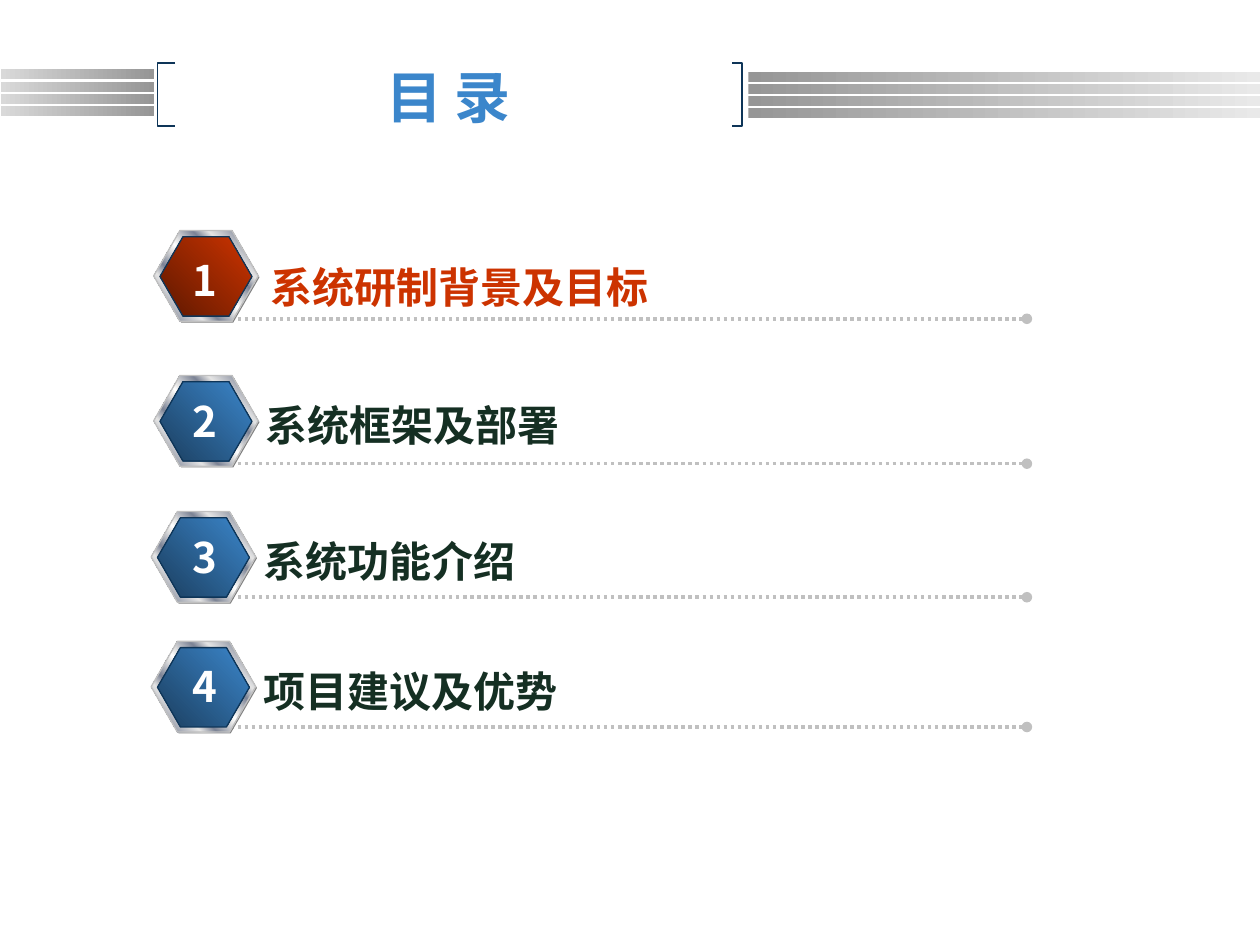
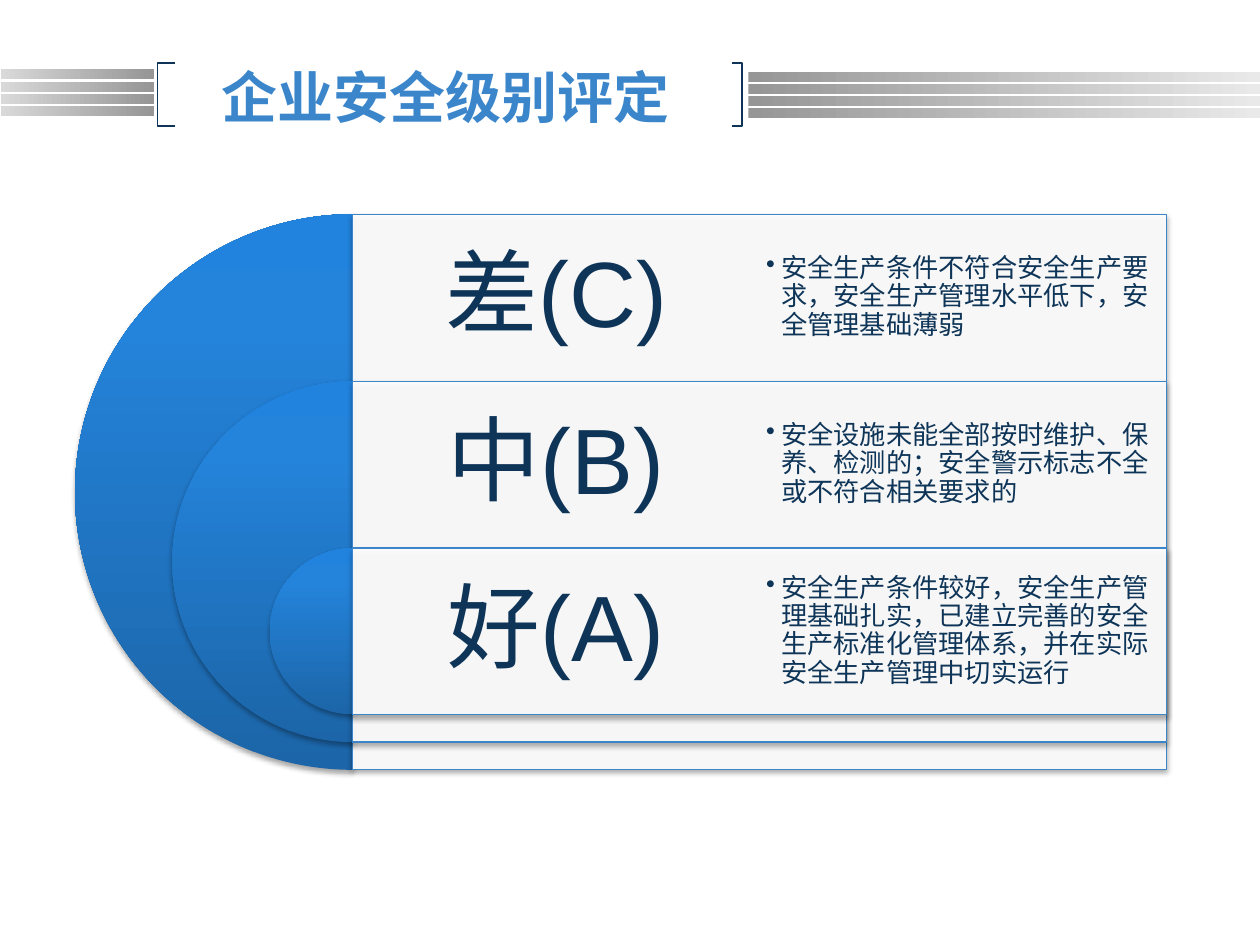
from lxml.etree import SubElement
from pptx import Presentation
from pptx.dml.color import RGBColor
from pptx.enum.dml import MSO_LINE
from pptx.enum.shapes import MSO_CONNECTOR, MSO_SHAPE
from pptx.enum.text import MSO_ANCHOR, MSO_AUTO_SIZE, PP_ALIGN
from pptx.oxml.ns import qn
from pptx.util import Inches, Pt

BLUE = RGBColor(0x3B, 0x86, 0xCB)
NAVY = RGBColor(0x0E, 0x35, 0x58)
DEEP_BLUE = RGBColor(0x1B, 0x3E, 0x5E)
RED = RGBColor(0xCC, 0x33, 0x00)
DARK_RED = RGBColor(0x5E, 0x18, 0x00)
GREEN = RGBColor(0x15, 0x2F, 0x23)
WHITE = RGBColor(0xFF, 0xFF, 0xFF)
SILVER = RGBColor(0xC0, 0xC0, 0xC0)
GRAY = RGBColor(0x80, 0x80, 0x80)
BAR_DARK = RGBColor(0x96, 0x96, 0x96)
BAR_LIGHT = RGBColor(0xD9, 0xD9, 0xD9)
BAR_PALE = RGBColor(0xE9, 0xE9, 0xE9)
STEEL = RGBColor(0x7D, 0x84, 0x96)
SHINE = RGBColor(0xE6, 0xE6, 0xE6)

METAL = [(0, SHINE), (8, STEEL), (26, SHINE), (34, STEEL), (46, SHINE), (50, WHITE),
         (54, SHINE), (66, STEEL), (74, SHINE), (92, STEEL), (100, SHINE)]
PIE_BLUE = [(0, RGBColor(0x1C, 0x65, 0xA8)), (80, RGBColor(0x24, 0x83, 0xDA)),
            (100, RGBColor(0x21, 0x83, 0xDE))]
FONT = "Noto Sans CJK SC"


def add_filled(slide, kind, box, fill, angle=0, line=None, shadow=False):
    """Add a preset shape; fill is one colour or a list of (percent, colour) stops."""
    s = slide.shapes.add_shape(kind, *[Inches(v) for v in box])
    s.shadow.inherit = False
    if isinstance(fill, list):
        s.fill.gradient()
        grad = s._element.spPr.find(qn("a:gradFill"))
        stops = grad.find(qn("a:gsLst"))
        stops.clear()
        for percent, color in fill:
            gs = SubElement(stops, qn("a:gs"), pos=str(percent * 1000))
            SubElement(gs, qn("a:srgbClr"), val=str(color))
        grad.find(qn("a:lin")).set("ang", str(angle * 60000))
    else:
        s.fill.solid()
        s.fill.fore_color.rgb = fill
    if line is None:
        s.line.fill.background()
    else:
        s.line.color.rgb = line
        s.line.width = Pt(0.75)
    if shadow:
        effects = s._element.spPr.find(qn("a:effectLst"))
        outer = SubElement(effects, qn("a:outerShdw"), blurRad=str(Pt(3.1)),
                           dist=str(Pt(1.8)), dir="5400000", rotWithShape="0")
        black = SubElement(outer, qn("a:srgbClr"), val="000000")
        SubElement(black, qn("a:alpha"), val="35000")
    return s


def add_text(slide, box, text, size, color, font=FONT, bold=True, align=None,
             wrap=True, inset=None, bullet=False):
    tf = slide.shapes.add_textbox(*[Inches(v) for v in box]).text_frame
    tf.word_wrap = wrap
    if wrap:
        tf.vertical_anchor = MSO_ANCHOR.MIDDLE
    else:
        tf.auto_size = MSO_AUTO_SIZE.SHAPE_TO_FIT_TEXT
    tf.text = text
    p = tf.paragraphs[0]
    p.alignment = align
    if inset is not None:
        tf.margin_left = tf.margin_right = Inches(inset)
        tf.margin_top = tf.margin_bottom = Inches(inset)
        p.line_spacing = 0.9
    if bullet:
        pPr = p._p.get_or_add_pPr()
        pPr.set("marL", str(Inches(0.12)))
        pPr.set("indent", str(-Inches(0.12)))
        SubElement(pPr, qn("a:buChar"), char="•")
    r = p.runs[0]
    r.font.size = Pt(size)
    r.font.bold = bold
    r.font.name = font
    r.font.color.rgb = color
    SubElement(r._r.get_or_add_rPr(), qn("a:ea"), typeface=FONT)


prs = Presentation()
prs.slide_width = Inches(10)
prs.slide_height = Inches(7.5)

# Title band shared by both slides
slides = []
for title, left, width in [("目 录", 1.31, 4.5), ("企业安全级别评定", 1.18, 4.71)]:
    slide = prs.slides.add_slide(prs.slide_layouts[6])
    slides.append(slide)
    for bar_left, bar_top, bar_width, stops in [
            (0.01, 0.55, 1.21, [(0, BAR_LIGHT), (100, BAR_DARK)]),
            (5.94, 0.57, 4.06, [(0, BAR_DARK), (100, BAR_PALE)])]:
        for i in range(4):
            add_filled(slide, MSO_SHAPE.RECTANGLE,
                       (bar_left, bar_top + i * 0.29 / 3, bar_width, 0.08), stops)
    for tip, spine in [(1.39, 1.25), (5.81, 5.89)]:
        builder = slide.shapes.build_freeform(Inches(tip), Inches(0.5))
        builder.add_line_segments([(Inches(x), Inches(y)) for x, y in
                                   [(spine, 0.5), (spine, 1), (tip, 1)]], close=False)
        bracket = builder.convert_to_shape()
        bracket.shadow.inherit = False
        bracket.fill.background()
        bracket.line.color.rgb = NAVY
        bracket.line.width = Pt(0.75)
    add_text(slide, (left, 0.5, width, 0.53), title, 32, BLUE, align=PP_ALIGN.CENTER)

contents, levels = slides

# Contents: hexagon left and top, label left and top, number top, rule y
chapters = [
    ("系统研制背景及目标", 1.22, 1.83, 2.05, 2.03, 1.97, 2.53),
    ("系统框架及部署", 1.22, 2.98, 2.01, 3.12, 3.09, 3.68),
    ("系统功能介绍", 1.2, 4.06, 1.99, 4.2, 4.17, 4.74),
    ("项目建议及优势", 1.2, 5.09, 1.99, 5.23, 5.19, 5.77),
]
for number, (label, x, y, label_x, label_y, number_y, rule_y) in enumerate(chapters, 1):
    current = number == 1
    rule = contents.shapes.add_connector(MSO_CONNECTOR.STRAIGHT, Inches(1.83), Inches(rule_y),
                                         Inches(8.15), Inches(rule_y))
    rule.line.color.rgb = SILVER
    rule.line.width = Pt(2)
    rule.line.dash_style = MSO_LINE.ROUND_DOT
    SubElement(rule.line._get_or_add_ln(), qn("a:tailEnd"), type="oval")
    SubElement(rule._element.spPr, qn("a:effectLst"))

    core = [(0, DARK_RED), (100, RED)] if current else [(0, DEEP_BLUE), (100, BLUE)]
    for box, fill, line in [((x + 0.01, y + 0.01, 0.83, 0.72), GRAY, None),
                            ((x, y, 0.83, 0.72), METAL, SILVER),
                            ((x + 0.05, y + 0.05, 0.73, 0.63), core, NAVY)]:
        hexagon = add_filled(contents, MSO_SHAPE.HEXAGON, box, fill, 315, line)
        hexagon.adjustments[0] = 0.289
    add_text(contents, (1.43, number_y, 0.41, 0.51), str(number), 24, WHITE, wrap=False)
    label_width = len(label) / 3 + 0.22
    add_text(contents, (label_x, label_y, label_width, 0.5), label, 24,
             RED if current else GREEN, wrap=False)

# Safety levels: nested half discs, each with a panel of the same height
grades = [
    ("差(C)", "安全生产条件不符合安全生产要求，安全生产管理水平低下，安全管理基础薄弱"),
    ("中(B)", "安全设施未能全部按时维护、保养、检测的；安全警示标志不全或不符合相关要求的"),
    ("好(A)", "安全生产条件较好，安全生产管理基础扎实，已建立完善的安全生产标准化管理体系，"
              "并在实际安全生产管理中切实运行"),
]
PANEL_LEFT, ROW_HEIGHT = 2.8, 1.32
for i, (grade, meaning) in enumerate(grades):
    top = 1.7 + i * 1.325
    size = 4.41 - i * 1.545
    pie = add_filled(levels, MSO_SHAPE.PIE, (PANEL_LEFT - size / 2, top, size, size),
                     PIE_BLUE, 270, shadow=True)
    pie.adjustments[0] = 54
    pie.adjustments[1] = 162
    panel = add_filled(levels, MSO_SHAPE.RECTANGLE, (PANEL_LEFT, top, 6.46, size), WHITE,
                       line=BLUE, shadow=True)
    white = panel._element.spPr.find(qn("a:solidFill")).find(qn("a:srgbClr"))
    SubElement(white, qn("a:alpha"), val="90000")
    add_text(levels, (PANEL_LEFT, top, 3.23, ROW_HEIGHT), grade, 53, NAVY, "Arial", False,
             PP_ALIGN.CENTER, inset=0.22)
    add_text(levels, (6.02, top, 3.23, ROW_HEIGHT), meaning, 15, NAVY, "Arial", False,
             inset=0.06, bullet=True)

prs.save("out.pptx")
